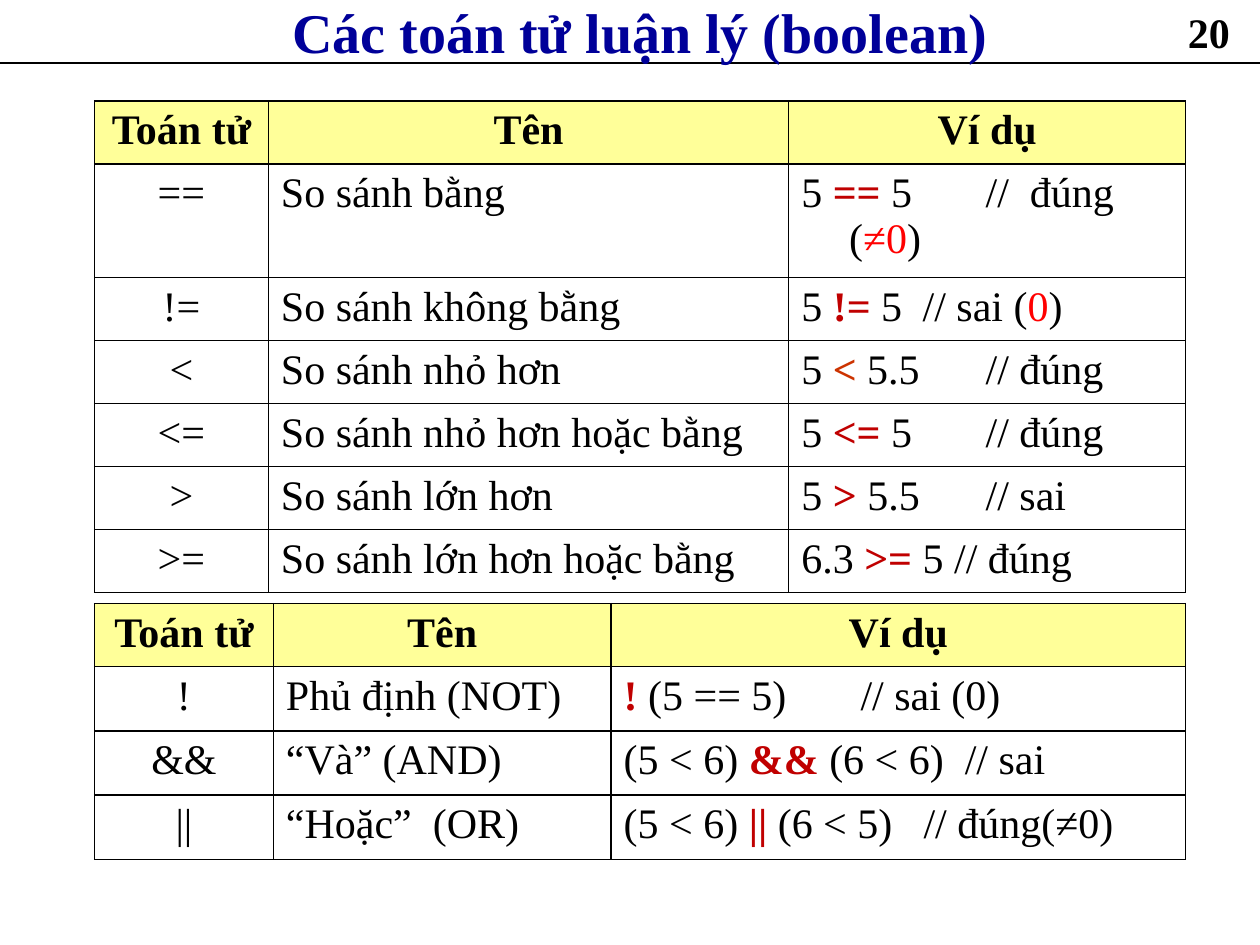
from lxml.etree import SubElement
from pptx import Presentation
from pptx.dml.color import RGBColor
from pptx.enum.shapes import MSO_CONNECTOR
from pptx.enum.text import MSO_ANCHOR, PP_ALIGN
from pptx.oxml import parse_xml
from pptx.oxml.ns import nsdecls, qn
from pptx.util import Inches, Pt

FONT = "Times New Roman"
BLACK = RGBColor(0x00, 0x00, 0x00)
NAVY = RGBColor(0x00, 0x00, 0x99)
YELLOW = RGBColor(0xFF, 0xFF, 0x99)
DARK_RED = RGBColor(0xC0, 0x00, 0x00)
ORANGE_RED = RGBColor(0xCC, 0x33, 0x00)
RED = RGBColor(0xFF, 0x00, 0x00)

HEADER = ("Toán tử", "Tên", "Ví dụ")


def op(text, color=DARK_RED):
    """A highlighted operator run."""
    return text, {"color": color, "bold": True}


def value(text):
    """A highlighted result run."""
    return text, {"color": RED}


COMPARISONS = [
    ("==", "So sánh bằng",
     ["5 ", op("=="), " 5\t //  đúng (", value("≠0"), ")"]),
    ("!=", "So sánh không bằng",
     ["5 ", op("!="), " 5\t // sai (", value("0"), ")"]),
    ("<", "So sánh nhỏ hơn", ["5 ", op("<", ORANGE_RED), " 5.5\t // đúng"]),
    ("<=", "So sánh nhỏ hơn hoặc bằng", ["5 ", op("<="), " 5\t // đúng"]),
    (">", "So sánh lớn hơn", ["5", op(" > "), "5.5\t // sai"]),
    (">=", "So sánh lớn hơn hoặc bằng", ["6.3 ", op(">="), " 5 // đúng"]),
]
LOGICAL = [
    ("!", "Phủ định (NOT)", [op("! "), "(5 == 5)\t\t// sai (0)"]),
    ("&&", "“Và” (AND)", ["(5 < 6) ", op("&& "), "(6 < 6)  // sai"]),
    ("||", "“Hoặc”  (OR)", ["(5 < 6) ", op("|| "), "(6 < 5)\t// đúng(≠0)"]),
]


def add_run(p, text, size=24, color=BLACK, bold=False):
    r = p.add_run()
    r.text = text
    r.font.name = FONT
    r.font.size = Pt(size)
    r.font.bold = bold
    r.font.color.rgb = color


def add_text(s, text, left, width, align=PP_ALIGN.LEFT, anchor=MSO_ANCHOR.TOP, **style):
    box = s.shapes.add_textbox(Inches(left), 0, Inches(width), Inches(0.5))
    tf = box.text_frame
    tf.word_wrap = True
    tf.vertical_anchor = anchor
    p = tf.paragraphs[0]
    p.alignment = align
    add_run(p, text, bold=True, **style)


def add_rule(s, y):
    line = s.shapes.add_connector(MSO_CONNECTOR.STRAIGHT, 0, Inches(y), Inches(10), Inches(y))
    line.line.color.rgb = BLACK
    line.line.width = Pt(0.75)
    SubElement(line._element.spPr, qn("a:effectLst"))


def set_borders(cell):
    tcPr = cell._tc.get_or_add_tcPr()
    for side in "LRTB":
        tcPr.append(parse_xml(
            f'<a:ln{side} {nsdecls("a")} w="{Pt(1)}"><a:solidFill>'
            f'<a:srgbClr val="{BLACK}"/></a:solidFill></a:ln{side}>'))


def fill_cell(cell, content, centered, header):
    set_borders(cell)
    if header:
        cell.fill.solid()
        cell.fill.fore_color.rgb = YELLOW
    else:
        cell.fill.background()
    p = cell.text_frame.paragraphs[0]
    p.alignment = PP_ALIGN.CENTER if centered else PP_ALIGN.LEFT
    pPr = p._p.get_or_add_pPr()
    pPr.set("marL", str(Inches(0.38)))
    pPr.set("indent", str(Inches(-0.38)))
    for run in [content] if isinstance(content, str) else content:
        text, style = (run, {"bold": header}) if isinstance(run, str) else run
        add_run(p, text, **style)


def add_operator_table(s, top, widths, heights, rows):
    rows = [HEADER, *rows]
    frame = s.shapes.add_table(len(rows), len(widths), Inches(0.75), Inches(top),
                               Inches(sum(widths)), Inches(sum(heights)))
    table = frame.table
    for column, width in zip(table.columns, widths):
        column.width = Inches(width)
    for i, (row, height, contents) in enumerate(zip(table.rows, heights, rows)):
        row.height = Inches(height)
        for j, content in enumerate(contents):
            fill_cell(row.cells[j], content, centered=i == 0 or j == 0, header=i == 0)


def main():
    prs = Presentation()
    prs.slide_width, prs.slide_height = Inches(10), Inches(7.5)
    s = prs.slides.add_slide(prs.slide_layouts[6])
    add_rule(s, 0.5)
    add_text(s, "20", 9.33, 0.67)
    add_text(s, "Các toán tử luận lý (boolean)", 0.83, 8.5, align=PP_ALIGN.CENTER,
             anchor=MSO_ANCHOR.MIDDLE, size=32, color=NAVY)
    add_operator_table(s, 0.8, [1.38, 4.13, 3.15], [0.47, 0.83] + [0.47] * 5, COMPARISONS)
    add_operator_table(s, 4.79, [1.42, 2.68, 4.56], [0.47] + [0.51] * 3, LOGICAL)
    prs.save("out.pptx")


if __name__ == "__main__":
    main()
